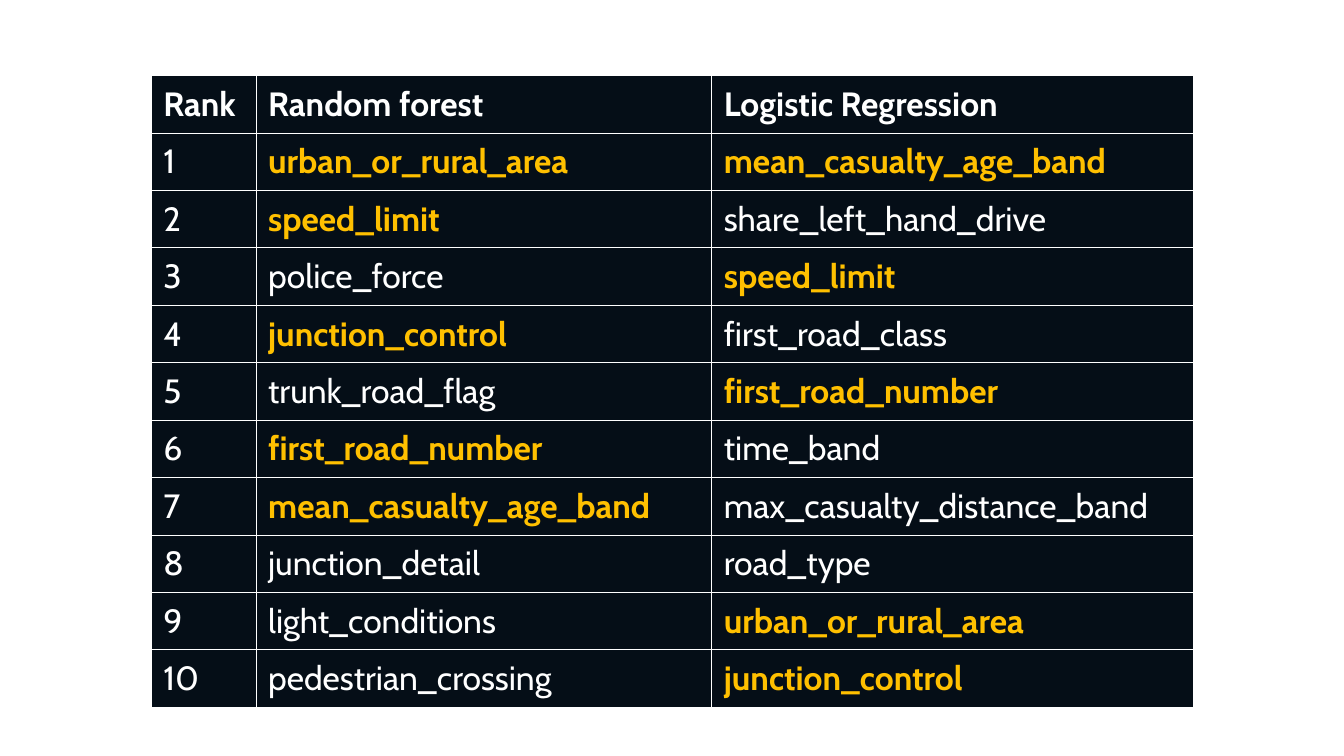
from lxml import etree
from pptx import Presentation
from pptx import util as u
from pptx.dml import color
from pptx.enum import text
from pptx.oxml import ns

RANDOM_FOREST = [
    "urban_or_rural_area", "speed_limit", "police_force", "junction_control",
    "trunk_road_flag", "first_road_number", "mean_casualty_age_band",
    "junction_detail", "light_conditions", "pedestrian_crossing",
]
LOGISTIC_REGRESSION = [
    "mean_casualty_age_band", "share_left_hand_drive", "speed_limit",
    "first_road_class", "first_road_number", "time_band",
    "max_casualty_distance_band", "road_type", "urban_or_rural_area",
    "junction_control",
]
HEADINGS = ("Rank", "Random forest", "Logistic Regression")
COLUMN_WIDTHS = (1.04, 4.52, 4.78)
ROW_HEIGHT = 0.57


def rgb(value):
    return color.RGBColor.from_string(value)


class RankingSlide:
    font = "Cabin"
    size = 24
    navy = "050E17"
    white = "FFFFFF"
    gold = "FFC000"
    border_width = 0.75

    def __init__(self, presentation):
        self.slide = presentation.slides.add_slide(presentation.slide_layouts[6])

    def add_borders(self, cell):
        properties = cell._tc.get_or_add_tcPr()
        for side in ("lnL", "lnR", "lnT", "lnB"):
            line = etree.SubElement(properties, ns.qn(f"a:{side}"),
                                    w=str(u.Pt(self.border_width)))
            fill = etree.SubElement(line, ns.qn("a:solidFill"))
            etree.SubElement(fill, ns.qn("a:srgbClr"), val=self.white)

    def fill_cell(self, cell, words, text_color, bold):
        self.add_borders(cell)
        cell.fill.solid()
        cell.fill.fore_color.rgb = rgb(self.navy)
        cell.margin_left = cell.margin_right = u.Inches(0.12)
        cell.margin_top = cell.margin_bottom = u.Inches(0.08)
        cell.vertical_anchor = text.MSO_ANCHOR.MIDDLE
        run = cell.text_frame.paragraphs[0].add_run()
        run.text = words
        run.font.name = self.font
        run.font.size = u.Pt(self.size)
        run.font.bold = bold
        run.font.color.rgb = rgb(text_color)

    def add_table(self, left, top, widths, row_height, rows, highlighted):
        """Draw rows under a bold first row, with highlighted words in gold."""
        table = self.slide.shapes.add_table(
            len(rows), len(widths), u.Inches(left), u.Inches(top),
            u.Inches(sum(widths)), u.Inches(row_height * len(rows))).table
        for column, width in zip(table.columns, widths):
            column.width = u.Inches(width)
        for row_index, row in enumerate(rows):
            table.rows[row_index].height = u.Inches(row_height)
            for column_index, words in enumerate(row):
                is_shared = words in highlighted
                self.fill_cell(table.cell(row_index, column_index), words,
                               self.gold if is_shared else self.white,
                               is_shared or row_index == 0)


def main():
    presentation = Presentation()
    presentation.slide_width = u.Inches(13.33)
    presentation.slide_height = u.Inches(7.5)

    ranks = [str(rank) for rank in range(1, len(RANDOM_FOREST) + 1)]
    rows = [HEADINGS, *zip(ranks, RANDOM_FOREST, LOGISTIC_REGRESSION)]
    shared_features = set(RANDOM_FOREST) & set(LOGISTIC_REGRESSION)
    ranking = RankingSlide(presentation)
    ranking.add_table(1.5, 0.75, COLUMN_WIDTHS, ROW_HEIGHT, rows, shared_features)

    presentation.save("out.pptx")


if __name__ == "__main__":
    main()
